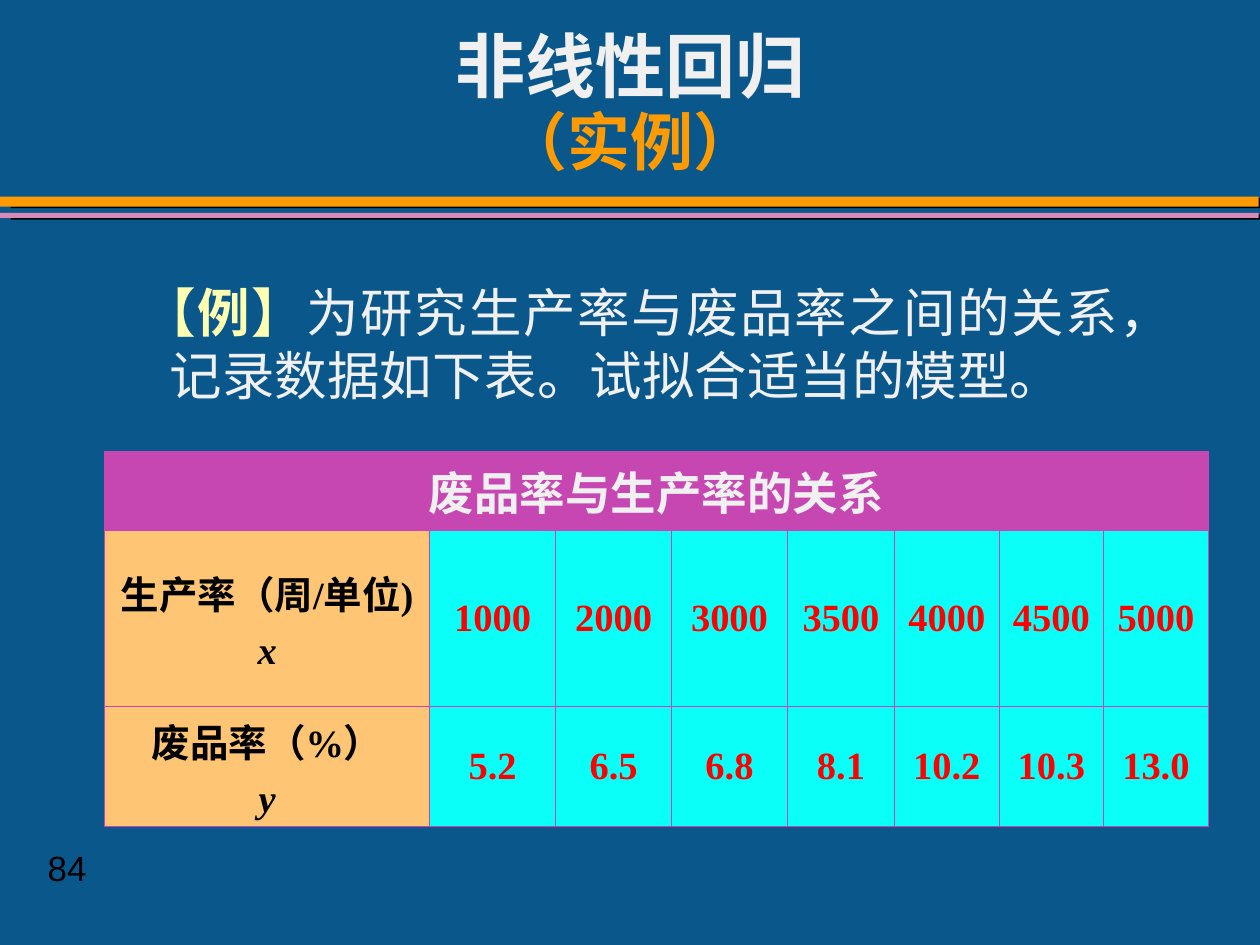
from dataclasses import dataclass

from lxml.etree import SubElement
from pptx import Presentation
from pptx.dml.color import RGBColor
from pptx.enum.shapes import MSO_SHAPE
from pptx.enum.text import MSO_ANCHOR, MSO_AUTO_SIZE, PP_ALIGN
from pptx.oxml.ns import qn
from pptx.util import Inches, Pt

BLUE = RGBColor(0x0A, 0x57, 0x8C)
ORANGE = RGBColor(0xFE, 0x9B, 0x03)
PINK = RGBColor(0xD9, 0x89, 0xB8)
OFF_WHITE = RGBColor(0xF0, 0xF0, 0xF0)
CREAM = RGBColor(0xFF, 0xFF, 0xB1)
MAGENTA = RGBColor(0xC7, 0x47, 0xB2)
GRID = RGBColor(0xC9, 0x45, 0xB3)
PEACH = RGBColor(0xFE, 0xC6, 0x74)
CYAN = RGBColor(0x0B, 0xFF, 0xF9)
RED = RGBColor(0xFF, 0x00, 0x00)
BLACK = RGBColor(0x00, 0x00, 0x00)


@dataclass
class Rule:
    top: float
    height: float
    color: RGBColor


@dataclass
class Style:
    name: str
    size: float
    color: RGBColor
    bold: bool = False
    italic: bool = False


@dataclass
class Measure:
    label: str
    symbol: str
    values: list[str]


RULES = [Rule(1.56, 0.08, ORANGE), Rule(1.69, 0.04, PINK)]
MEASURES = [
    Measure("生产率（周/单位)", "x",
            ["1000", "2000", "3000", "3500", "4000", "4500", "5000"]),
    Measure("废品率（%）", "y",
            ["5.2", "6.5", "6.8", "8.1", "10.2", "10.3", "13.0"]),
]
COLUMN_WIDTHS = [2.58, 1, 0.92, 0.92, 0.85, 0.83, 0.83, 0.83]
# Tall enough for every line of the labels
ROW_HEIGHTS = [0.63, 1.4, 0.95]

HEADER = Style("Arial", 26, OFF_WHITE, bold=True)
LABEL = Style("Times New Roman", 22, BLACK, bold=True)
SYMBOL = Style("Times New Roman", 22, BLACK, bold=True, italic=True)
VALUE = Style("Times New Roman", 22, RED, bold=True)


def add_run(paragraph, text: str, style: Style) -> None:
    run = paragraph.add_run()
    run.text = text
    formats = {"name": style.name, "size": Pt(style.size),
               "bold": style.bold, "italic": style.italic}
    for attribute, value in formats.items():
        setattr(run.font, attribute, value)
    run.font.color.rgb = style.color


def add_rule(slide, rule: Rule) -> None:
    bar = slide.shapes.add_shape(MSO_SHAPE.RECTANGLE, 0, Inches(rule.top),
                                 Inches(9.99), Inches(rule.height))
    bar.fill.solid()
    bar.fill.fore_color.rgb = rule.color
    bar.line.fill.background()
    # Hard black shadow, 6.1 pt away at 9 degrees
    bar.shadow.inherit = False
    effects = bar._element.spPr.find(qn("a:effectLst"))
    shadow = SubElement(effects, qn("a:outerShdw"), blurRad="0",
                        dist=str(Pt(6.1)), dir=str(9 * 60000),
                        algn="ctr", rotWithShape="0")
    SubElement(shadow, qn("a:srgbClr"), val=str(BLACK))


def add_borders(cell) -> None:
    properties = cell._tc.get_or_add_tcPr()
    for side in ("lnL", "lnR", "lnT", "lnB"):
        line = SubElement(properties, qn(f"a:{side}"), w=str(Pt(0.45)))
        fill = SubElement(line, qn("a:solidFill"))
        SubElement(fill, qn("a:srgbClr"), val=str(GRID))


def fill_cell(cell, fill: RGBColor, lines: list[tuple[str, Style]]) -> None:
    cell.fill.solid()
    cell.fill.fore_color.rgb = fill
    cell.vertical_anchor = MSO_ANCHOR.MIDDLE
    frame = cell.text_frame
    for index, (text, style) in enumerate(lines):
        paragraph = frame.add_paragraph() if index else frame.paragraphs[0]
        paragraph.alignment = PP_ALIGN.CENTER
        if index:
            paragraph.space_before = Pt(5.5)
        add_run(paragraph, text, style)


def add_data_table(slide) -> None:
    table = slide.shapes.add_table(
        len(ROW_HEIGHTS), len(COLUMN_WIDTHS), Inches(0.83), Inches(3.58),
        Inches(sum(COLUMN_WIDTHS)), Inches(sum(ROW_HEIGHTS))).table
    table.first_row = table.horz_banding = False
    for column, width in zip(table.columns, COLUMN_WIDTHS):
        column.width = Inches(width)
    for row, height in zip(table.rows, ROW_HEIGHTS):
        row.height = Inches(height)
    for cell in table.iter_cells():
        cell.margin_top = cell.margin_bottom = Inches(0.05)
        add_borders(cell)

    table.cell(0, 0).merge(table.cell(0, len(COLUMN_WIDTHS) - 1))
    fill_cell(table.cell(0, 0), MAGENTA, [("废品率与生产率的关系", HEADER)])
    for row, measure in enumerate(MEASURES, start=1):
        fill_cell(table.cell(row, 0), PEACH,
                  [(measure.label, LABEL), (measure.symbol, SYMBOL)])
        for column, value in enumerate(measure.values, start=1):
            fill_cell(table.cell(row, column), CYAN, [(value, VALUE)])


def add_title(slide) -> None:
    title = slide.shapes.title
    title.left, title.top = Inches(1.17), Inches(0.33)
    title.width, title.height = Inches(7.67), Inches(1)
    frame = title.text_frame
    frame.auto_size = MSO_AUTO_SIZE.NONE
    frame.vertical_anchor = MSO_ANCHOR.MIDDLE
    heading = frame.paragraphs[0]
    heading.alignment = PP_ALIGN.CENTER
    heading.line_spacing = 0.95
    add_run(heading, "非线性回归", Style("Cambria", 40, OFF_WHITE, bold=True))
    heading.add_line_break()
    add_run(heading, "（实例）", Style("Cambria", 36, ORANGE, bold=True))


def add_example(slide) -> None:
    frame = slide.shapes.add_textbox(Inches(0.58), Inches(2.17),
                                     Inches(8.83), Inches(1.17)).text_frame
    frame.word_wrap = True
    example = frame.paragraphs[0]
    example.alignment = PP_ALIGN.JUSTIFY
    # Hanging first line
    properties = example._p.get_or_add_pPr()
    properties.set("marL", str(Inches(0.67)))
    properties.set("indent", str(Inches(-0.21)))
    add_run(example, "【例】", Style("Arial", 30, CREAM, bold=True))
    add_run(example, "为研究生产率与废品率之间的关系，记录数据如下表。试拟合适当的模型。",
            Style("Arial", 30, OFF_WHITE))


def add_page_number(slide) -> None:
    frame = slide.shapes.add_textbox(Inches(0.28), Inches(6.67),
                                     Inches(1.47), Inches(0.43)).text_frame
    frame.word_wrap = True
    add_run(frame.paragraphs[0], "84", Style("Arial", 20, BLACK))


def main() -> None:
    deck = Presentation()
    deck.slide_width, deck.slide_height = Inches(10), Inches(7.5)
    slide = deck.slides.add_slide(deck.slide_layouts[5])
    slide.background.fill.solid()
    slide.background.fill.fore_color.rgb = BLUE

    for rule in RULES:
        add_rule(slide, rule)
    add_page_number(slide)
    add_title(slide)
    add_example(slide)
    add_data_table(slide)
    deck.save("out.pptx")


if __name__ == "__main__":
    main()
